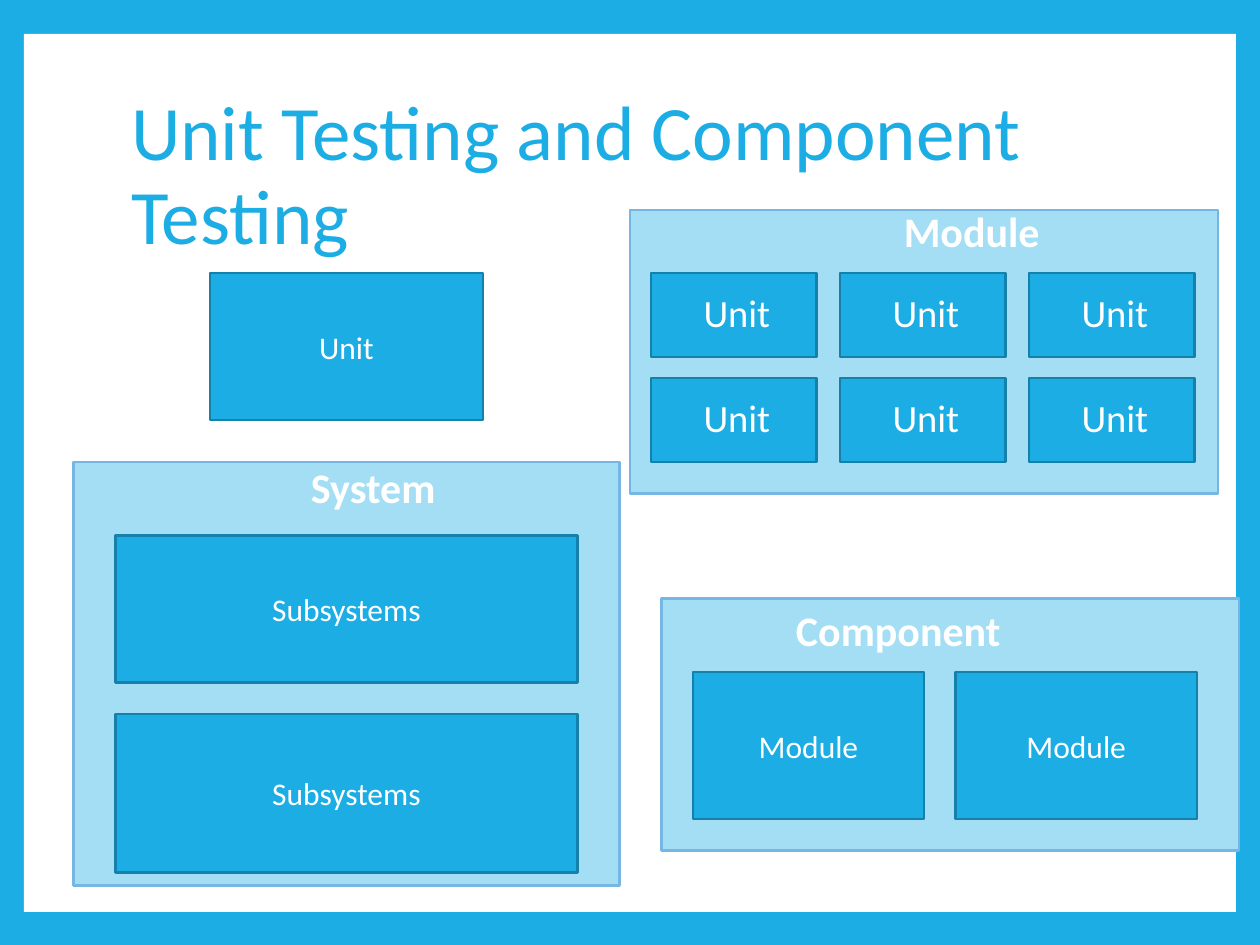
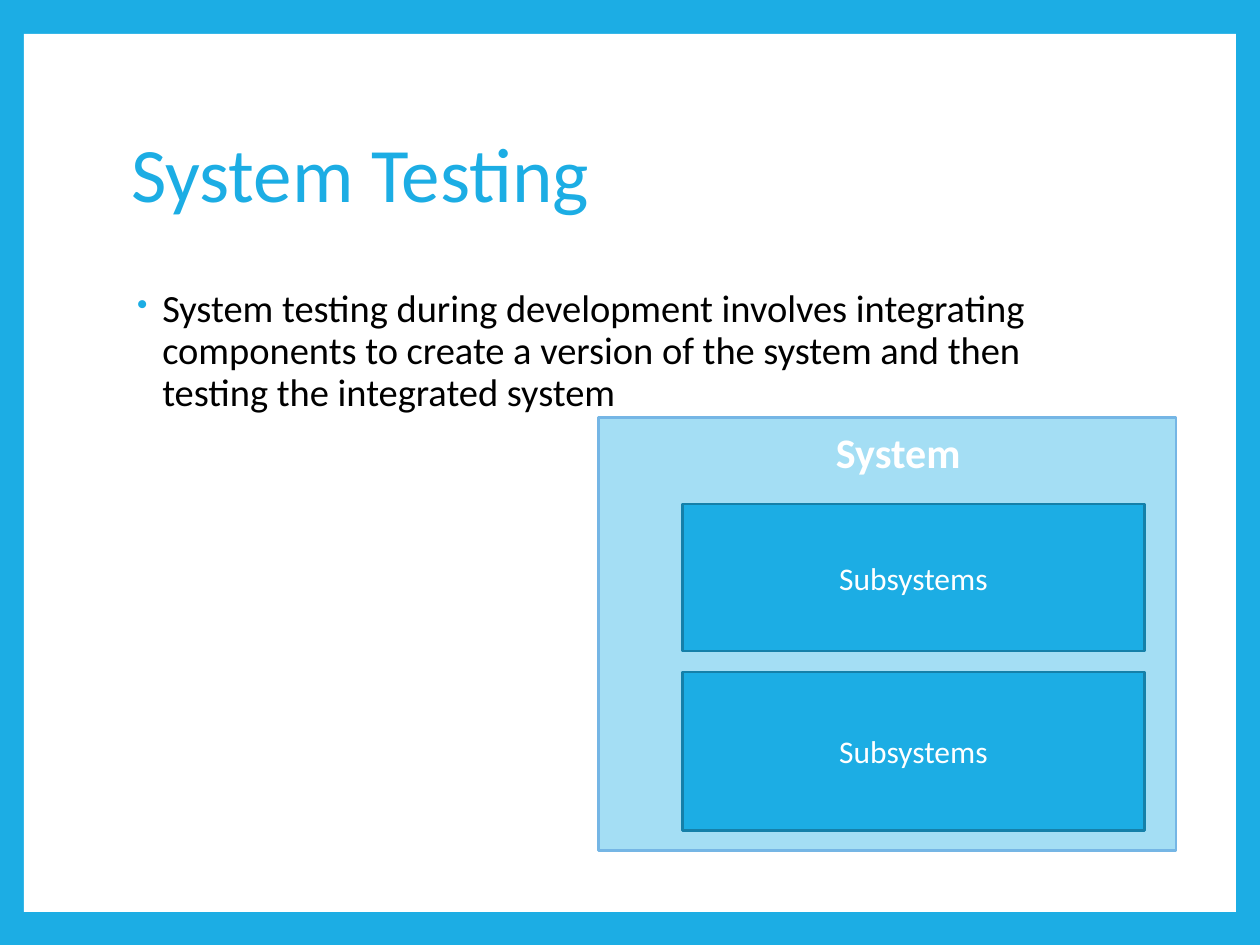
from typing import NamedTuple

from lxml.etree import SubElement
from pptx import Presentation
from pptx.dml.color import RGBColor
from pptx.enum.shapes import MSO_SHAPE
from pptx.enum.text import MSO_ANCHOR, MSO_AUTO_SIZE, PP_ALIGN
from pptx.oxml.ns import qn
from pptx.util import Pt

COLORS = {
    "accent": "1CADE4",
    "accent_line": "1580A9",
    "panel": "A4DEF4",
    "panel_line": "75B6E5",
    "white": "FFFFFF",
    "black": "000000",
}
FONT = "Calibri"
TITLE_ONLY = 5
LABEL_SIZE = (150.5, 58)


class Rect(NamedTuple):
    left: float
    top: float
    width: float
    height: float

    def lengths(self):
        return [Pt(value) for value in self]


class Box(NamedTuple):
    text: str
    rect: Rect
    size: float = 18
    hanging: bool = False


class Panel(NamedTuple):
    label: str
    label_at: tuple[float, float]
    rect: Rect
    boxes: list[Box]


FRAME = Rect(13.7, 19.4, 692.6, 501.8)
TITLE = Rect(67.7, 48.2, 583.2, 106.6)
BODY = Rect(67.7, 162, 583.2, 318.2)


def rgb(name: str) -> RGBColor:
    return RGBColor.from_string(COLORS[name])


def write(tf, text: str, *, size: float, color: str = "white", bold: bool = False,
          align=PP_ALIGN.CENTER, anchor=MSO_ANCHOR.TOP, spacing: float = 1.0,
          hanging: bool = False, bullet: str = "") -> None:
    """Write one formatted paragraph into a text frame."""
    tf.word_wrap = True
    tf.auto_size = MSO_AUTO_SIZE.NONE
    tf.vertical_anchor = anchor
    p = tf.paragraphs[0]
    p.alignment = align
    p.line_spacing = spacing
    pPr = p._p.get_or_add_pPr()
    if hanging:
        pPr.set("marL", str(Pt(18)))
        pPr.set("indent", str(Pt(-14.4)))
    if bullet:
        color_el = SubElement(pPr, qn("a:buClr"))
        SubElement(color_el, qn("a:srgbClr"), val=COLORS["accent"])
        SubElement(pPr, qn("a:buSzPct"), val="80000")
        SubElement(pPr, qn("a:buChar"), char=bullet)
    r = p.add_run()
    r.text = text
    r.font.name = FONT
    r.font.size = Pt(size)
    r.font.bold = bold
    r.font.color.rgb = rgb(color)


def add_rect(slide, rect: Rect, fill: str, line: str = ""):
    sp = slide.shapes.add_shape(MSO_SHAPE.RECTANGLE, *rect.lengths())
    sp.shadow.inherit = False
    sp.fill.solid()
    sp.fill.fore_color.rgb = rgb(fill)
    if line:
        sp.line.color.rgb = rgb(line)
        sp.line.width = Pt(1.5)
    else:
        sp.line.fill.background()
    return sp


def add_text(slide, rect: Rect, text: str, **fmt) -> None:
    write(slide.shapes.add_textbox(*rect.lengths()).text_frame, text, **fmt)


def add_box(slide, box: Box) -> None:
    sp = add_rect(slide, box.rect, "accent", "accent_line")
    write(sp.text_frame, box.text, size=box.size, anchor=MSO_ANCHOR.MIDDLE,
          hanging=box.hanging, spacing=0.9 if box.hanging else 1.0)


def add_panel(slide, panel: Panel) -> None:
    add_rect(slide, panel.rect, "panel", "panel_line")
    for box in panel.boxes:
        add_box(slide, box)
    add_text(slide, Rect(*panel.label_at, *LABEL_SIZE), panel.label, size=24, bold=True)


def system_panel(rect: Rect, label_at: tuple[float, float], left: float,
                 tops: tuple[float, float]) -> Panel:
    boxes = [Box("Subsystems", Rect(left, top, 264, height))
             for top, height in zip(tops, (84, 90.7))]
    return Panel("System", label_at, rect, boxes)


def add_slide(prs, title: str):
    slide = prs.slides.add_slide(prs.slide_layouts[TITLE_ONLY])
    sp = slide.shapes.title
    sp.left, sp.top, sp.width, sp.height = TITLE.lengths()
    write(sp.text_frame, title, size=44, color="accent", align=PP_ALIGN.LEFT,
          anchor=MSO_ANCHOR.MIDDLE, spacing=0.9)
    return slide


def share_frame(prs, slide) -> None:
    """Blue background on the master, white sheet at the back of the layout."""
    fill = prs.slide_master.background.fill
    fill.solid()
    fill.fore_color.rgb = rgb("accent")
    sheet = add_rect(slide, FRAME, "white")
    slide.slide_layout.shapes._spTree.insert(2, sheet._element)


def main() -> None:
    prs = Presentation()
    prs.slide_width, prs.slide_height = Pt(720), Pt(540)

    # Levels of testing: unit, module, component, system
    s = add_slide(prs, "Unit Testing and Component Testing")
    share_frame(prs, s)
    add_box(s, Box("Unit", Rect(120, 156, 156, 84)))
    units = [Box("Unit", Rect(372 + 108 * col, 156 + 60 * row, 94.5, 48), 22, True)
             for row in range(2) for col in range(3)]
    modules = [Box("Module", Rect(396, 384, 132, 84)),
               Box("Module", Rect(546, 384, 138, 84))]
    for panel in (
        Panel("Module", (480, 114), Rect(360, 120, 336, 162), units),
        Panel("Component", (438, 342), Rect(378, 342, 330, 144), modules),
        system_panel(Rect(42, 264, 312, 242), (138, 260), 66, (306, 408)),
    ):
        add_panel(s, panel)

    # System testing
    s = add_slide(prs, "System Testing")
    add_text(s, BODY, "System testing during development involves integrating components "
             "to create a version of the system and then testing the integrated system",
             size=22, color="black", align=PP_ALIGN.LEFT, spacing=0.9,
             hanging=True, bullet="•")
    add_panel(s, system_panel(Rect(342, 238.5, 330, 247.5), (438, 240), 390, (288, 384)))

    prs.save("out.pptx")


if __name__ == "__main__":
    main()
